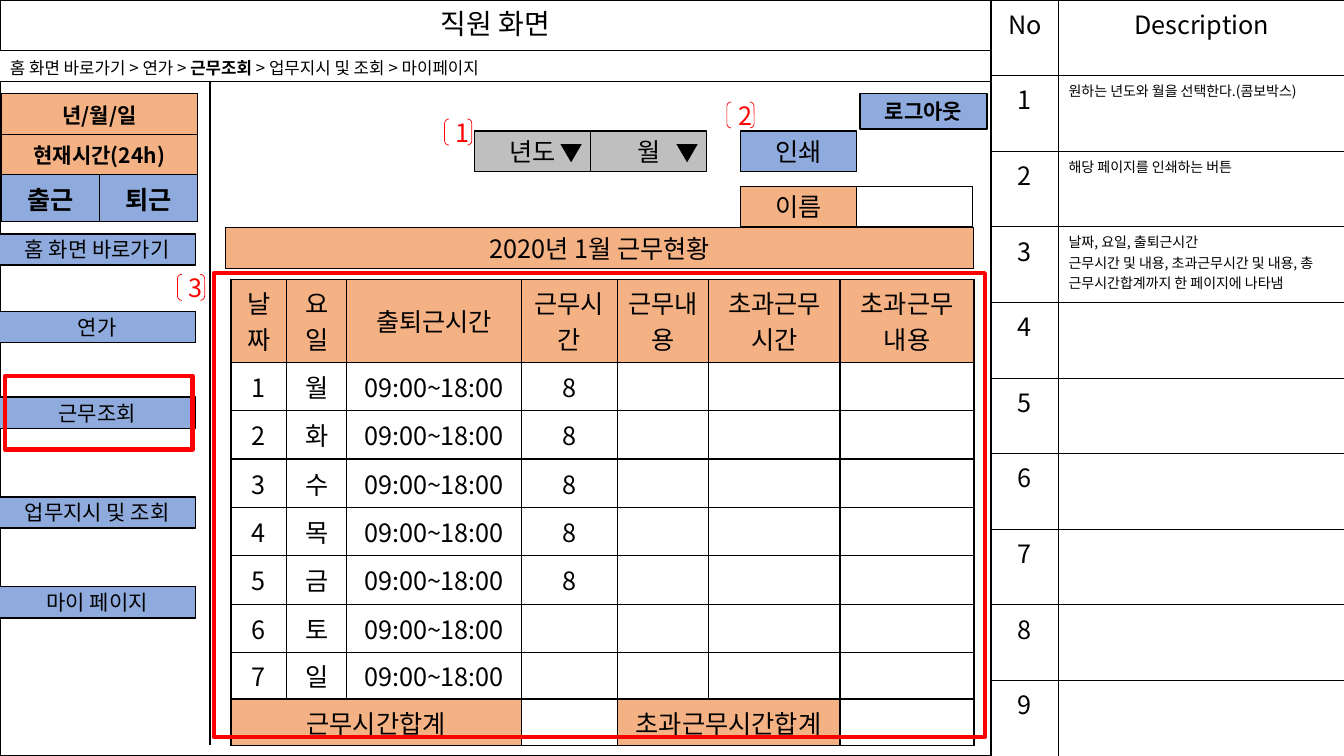
from dataclasses import dataclass, field
from typing import Any

import pptx
import pptx.dml.color
import pptx.enum.shapes
import pptx.enum.text
import pptx.oxml
import pptx.oxml.ns
import pptx.util
from lxml import etree

COLORS = {"ink": "000000", "paper": "FFFFFF", "orange": "F4B183",
          "blue": "8FAADC", "gray": "BFBFBF", "red": "FF0000"}
FONT = "Noto Sans CJK KR"
SLIDE_WIDTH, SLIDE_HEIGHT = pptx.util.Inches(13.33), pptx.util.Inches(7.5)
SHAPES = pptx.enum.shapes.MSO_SHAPE
ALIGN = pptx.enum.text.PP_ALIGN
ANCHOR = pptx.enum.text.MSO_ANCHOR

# All lengths below are percentages of the slide's width (x) or height (y).
SCREEN_WIDTH, BAR_TOP, BODY_TOP = 73.73, 6.67, 10.8
BUTTON_WIDTH, BUTTON_HEIGHT = 8.63, 5.33
YEAR_LEFT, PRINT_LEFT, CONTROL_TOP, NAME_TOP = 35.33, 55.13, 17.33, 24.67


@dataclass
class Box:
    left: float
    top: float
    width: float
    height: float
    text: str = ""
    fill: str = ""
    line: str = "ink"
    weight: float = 0.75
    size: float = 18
    bold: bool = False
    color: str = "ink"
    kind: Any = SHAPES.RECTANGLE
    rotation: float = 0


@dataclass
class Grid:
    left: float
    top: float
    columns: list[float]
    rows: list[float]
    cells: list[list[str]]
    weight: float = 1
    size: float = 18
    bold: bool = False
    anchor: Any = ANCHOR.TOP
    fills: dict[tuple[int, int], str] = field(default_factory=dict)
    sizes: dict[tuple[int, int], float] = field(default_factory=dict)
    merges: list[tuple[int, int, int]] = field(default_factory=list)
    left_aligned: set[tuple[int, int]] = field(default_factory=set)


def across(share: float) -> int:
    return round(SLIDE_WIDTH * share / 100)


def down(share: float) -> int:
    return round(SLIDE_HEIGHT * share / 100)


def rgb(name: str) -> pptx.dml.color.RGBColor:
    return pptx.dml.color.RGBColor.from_string(COLORS[name])


def set_attributes(target: Any, values: dict[str, Any]) -> None:
    for name, value in values.items():
        setattr(target, name, value)


def add_run(paragraph: Any, text: str, size: float, bold: bool = False, color: str = "ink") -> None:
    run = paragraph.add_run()
    run.text = text
    run.font.color.rgb = rgb(color)
    set_attributes(run.font, {"size": pptx.util.Pt(size), "bold": bold, "name": FONT})
    east_asian = etree.SubElement(run._r.get_or_add_rPr(), pptx.oxml.ns.qn("a:ea"))
    east_asian.set("typeface", FONT)


def paint(target: Any, color: str) -> None:
    if color:
        target.fill.solid()
        target.fill.fore_color.rgb = rgb(color)
    else:
        target.fill.background()


def outline(line: Any, color: str, weight: float) -> None:
    if color:
        line.color.rgb = rgb(color)
        line.width = pptx.util.Pt(weight)
    else:
        line.fill.background()


def add_box(slide: Any, box: Box) -> None:
    shape = slide.shapes.add_shape(box.kind, across(box.left), down(box.top),
                                   across(box.width), down(box.height))
    shape.shadow.inherit = False
    shape.rotation = box.rotation
    paint(shape, box.fill)
    outline(shape.line, box.line, box.weight)
    if box.text:
        set_attributes(shape.text_frame, {"margin_top": 0, "margin_bottom": 0, "word_wrap": True,
                                          "vertical_anchor": ANCHOR.MIDDLE})
        paragraph = shape.text_frame.paragraphs[0]
        paragraph.alignment = ALIGN.CENTER
        add_run(paragraph, box.text, box.size, box.bold, box.color)


def add_borders(cell: Any, weight: float) -> None:
    properties = cell._tc.get_or_add_tcPr()
    for side in ("lnL", "lnR", "lnT", "lnB"):
        border = etree.SubElement(properties, pptx.oxml.ns.qn(f"a:{side}"))
        border.set("w", str(pptx.util.Pt(weight)))
        solid = etree.SubElement(border, pptx.oxml.ns.qn("a:solidFill"))
        etree.SubElement(solid, pptx.oxml.ns.qn("a:srgbClr")).set("val", COLORS["ink"])


def add_grid(slide: Any, grid: Grid) -> None:
    table = slide.shapes.add_table(
        len(grid.rows), len(grid.columns), across(grid.left), down(grid.top),
        across(sum(grid.columns)), down(sum(grid.rows))).table
    set_attributes(table, {"first_row": False, "horz_banding": False})
    for column, width in zip(table.columns, grid.columns):
        column.width = across(width)
    for row, height in zip(table.rows, grid.rows):
        row.height = down(height)
    for row, first, last in grid.merges:
        table.cell(row, first).merge(table.cell(row, last))
    for row, texts in enumerate(grid.cells):
        for column, text in enumerate(texts):
            place = (row, column)
            cell = table.cell(row, column)
            cell.vertical_anchor = grid.anchor
            add_borders(cell, grid.weight)
            paint(cell, grid.fills.get(place, ""))
            for index, line in enumerate(text.split("\n") if text else []):
                paragraph = cell.text_frame.paragraphs[0] if index == 0 else cell.text_frame.add_paragraph()
                paragraph.alignment = ALIGN.LEFT if place in grid.left_aligned else ALIGN.CENTER
                add_run(paragraph, line, grid.sizes.get(place, grid.size), grid.bold)


def add_title(slide: Any, text: str) -> None:
    title = slide.shapes.title
    set_attributes(title, {"left": 0, "top": 0, "width": across(SCREEN_WIDTH), "height": down(BAR_TOP)})
    outline(title.line, "ink", 0.75)
    title.text_frame.vertical_anchor = ANCHOR.MIDDLE
    paragraph = title.text_frame.paragraphs[0]
    set_attributes(paragraph, {"alignment": ALIGN.CENTER, "line_spacing": 0.9})
    add_run(paragraph, text, 20)


def add_breadcrumb(slide: Any) -> None:
    frame = slide.shapes.add_textbox(0, down(6.93), across(46.05), down(4)).text_frame
    set_attributes(frame, {"margin_top": 0, "margin_bottom": 0, "word_wrap": True,
                           "vertical_anchor": ANCHOR.MIDDLE})
    for text, bold in (("홈 화면 바로가기 > 연가 > ", False), ("근무조회 ", True),
                       ("> 업무지시 및 조회 > 마이페이지", False)):
        add_run(frame.paragraphs[0], text, 12, bold)


def add_divider(slide: Any) -> None:
    divider = slide.shapes.add_connector(pptx.enum.shapes.MSO_CONNECTOR.STRAIGHT,
                                         across(15.6), down(BODY_TOP), across(15.6), down(98.53))
    outline(divider.line, "ink", 1.5)
    etree.SubElement(divider._element.spPr, pptx.oxml.ns.qn("a:effectLst"))


NOTES = ["원하는 년도와 월을 선택한다.(콤보박스)", "해당 페이지를 인쇄하는 버튼",
         "날짜, 요일, 출퇴근시간\n근무시간 및 내용, 초과근무시간 및 내용, 총 근무시간합계까지 한 페이지에 나타냄"]
DESCRIPTION = Grid(
    SCREEN_WIDTH, 0, [5.03, 21.3], [10] * 10,
    [["No", "Description"]] + [[str(n), NOTES[n - 1] if n <= len(NOTES) else ""] for n in range(1, 10)],
    weight=0.5, sizes={(n, 1): 10 for n in range(1, 4)}, left_aligned={(n, 1) for n in range(1, 4)})
CLOCK = Grid(
    0.08, 12.4, [7.31] * 2, [5.33, 5.33, 6.13],
    [["년/월/일", ""], ["현재시간(24h)", ""], ["출근", "퇴근"]], size=15, bold=True,
    fills={(row, column): "blue" if row == 2 else "orange" for row in range(3) for column in range(2)},
    sizes={(2, 0): 18, (2, 1): 18}, merges=[(0, 0, 1), (1, 0, 1)])
WORK = Grid(
    17.18, 36.93, [4.13, 4.5, 12.98, 7.13, 6.83, 9.75, 9.98], [10.93] + [6.4] * 6 + [6.13] * 2,
    [["날짜", "요일", "출퇴근시간", "근무시간", "근무내용", "초과근무시간", "초과근무내용"]]
    + [[str(n), day, "09:00~18:00", "8" if n <= 5 else "", "", "", ""] for n, day in enumerate("월화수목금토일", 1)]
    + [["근무시간합계", "", "", "", "초과근무시간합계", "", ""]], anchor=ANCHOR.MIDDLE,
    fills={(0, column): "orange" for column in range(7)} | {(8, column): "orange" for column in (0, 1, 2, 4, 5)},
    merges=[(8, 0, 2), (8, 4, 5)])

MENU = [Box(-0.08, top, 14.63, 4.13, text, "blue", weight=1, size=15) for text, top in (
    ("홈 화면 바로가기", 30.93), ("연가", 41.2), ("근무조회", 52.53),
    ("업무지시 및 조회", 65.73), ("마이 페이지", 77.6))]
MARKERS = [Box(left, top, 2.03, 3.47, text, line="red", weight=0.5, color="red", kind=SHAPES.DOUBLE_BRACKET)
           for text, left, top in (("1", 33.08, 15.73), ("3", 13.2, 36.27), ("2", 54.08, 13.47))]
SELECTORS = [Box(YEAR_LEFT + index * BUTTON_WIDTH, CONTROL_TOP, BUTTON_WIDTH, BUTTON_HEIGHT, text, "gray")
             for index, text in enumerate(("년도", "월"))]
ARROWS = [Box(selector.left + 6.37, 19.07, 1.58, 2.4, fill="ink", line="",
              kind=SHAPES.ISOSCELES_TRIANGLE, rotation=180) for selector in SELECTORS]
CONTROLS = [
    Box(PRINT_LEFT, CONTROL_TOP, BUTTON_WIDTH, BUTTON_HEIGHT, "인쇄", "blue"),
    Box(16.8, 30.13, 55.65, BUTTON_HEIGHT, "2020년 1월 근무현황", "orange"),
    Box(15.9, 36.13, 57.38, 61.33, line="red", weight=3),
    Box(63.98, 12.4, 9.45, 4.67, "로그아웃", "blue", weight=1, size=15, bold=True),
    Box(PRINT_LEFT, NAME_TOP, BUTTON_WIDTH, BUTTON_HEIGHT, "이름", "orange"),
    Box(PRINT_LEFT + BUTTON_WIDTH, NAME_TOP, BUTTON_WIDTH, BUTTON_HEIGHT),
    Box(0.38, 49.73, 13.95, 9.73, line="red", weight=3)]


def main() -> None:
    presentation = pptx.Presentation()
    set_attributes(presentation, {"slide_width": SLIDE_WIDTH, "slide_height": SLIDE_HEIGHT})
    slide = presentation.slides.add_slide(presentation.slide_layouts[5])
    add_title(slide, "직원 화면")
    add_box(slide, Box(0, BODY_TOP, SCREEN_WIDTH, 100 - BODY_TOP, fill="paper", weight=1))
    add_box(slide, Box(0, BAR_TOP, SCREEN_WIDTH, BODY_TOP - BAR_TOP))
    for grid in (DESCRIPTION, CLOCK, WORK):
        add_grid(slide, grid)
    for box in MENU + SELECTORS + ARROWS + CONTROLS + MARKERS:
        add_box(slide, box)
    add_breadcrumb(slide)
    add_divider(slide)
    presentation.save("out.pptx")


if __name__ == "__main__":
    main()
